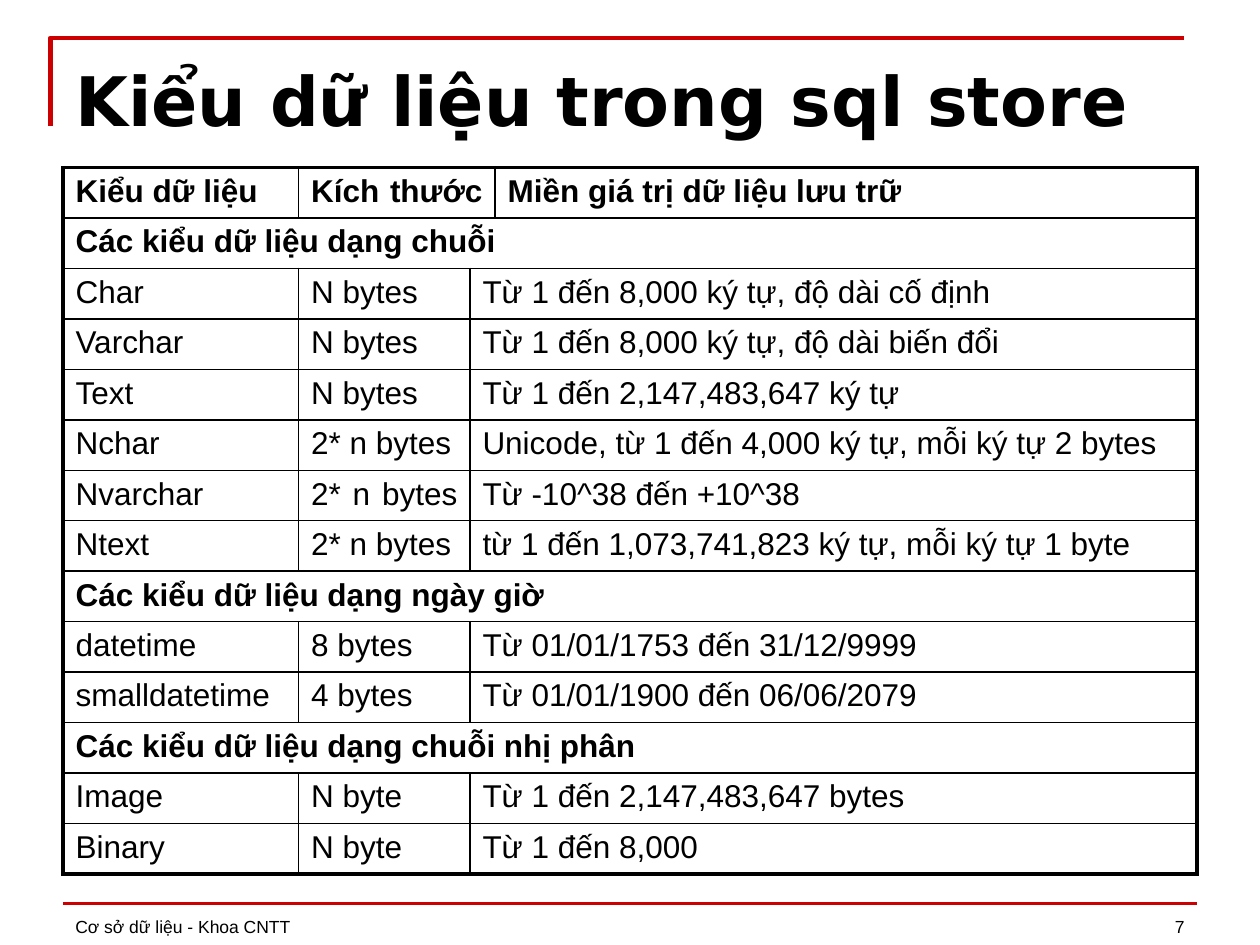
"""Builds a slide with a table of SQL data types, their sizes and ranges."""
from lxml import etree
from pptx import Presentation
from pptx.dml.color import RGBColor
from pptx.enum.shapes import MSO_CONNECTOR
from pptx.enum.text import MSO_ANCHOR, PP_ALIGN
from pptx.oxml.ns import qn
from pptx.util import Inches, Pt

STRAIGHT = MSO_CONNECTOR.STRAIGHT
MIDDLE, BOTTOM = MSO_ANCHOR.MIDDLE, MSO_ANCHOR.BOTTOM
LEFT, RIGHT, JUSTIFY = PP_ALIGN.LEFT, PP_ALIGN.RIGHT, PP_ALIGN.JUSTIFY

THEME = {
    "ink": "000000", "accent": "CC0000",
    "title_font": "DejaVu Sans", "body_font": "Arial",
    "title": 39, "body": 18, "footer": 10,
    "thin": 1, "thick": 2.25, "frame": 2.5, "rule": 2,
}
UNIT = Inches(0.1)  # the slide is a grid of 100 columns by 75 rows
MARGIN, CONTENT = 5, 90
COLUMNS = (18.7, 13.6, 2, 55.7)
ROW = 4

ROWS = [
    ("Kiểu dữ liệu", "Kích thước ", "Miền giá trị dữ liệu lưu trữ"),
    ("Các kiểu dữ liệu dạng chuỗi",),
    ("Char", "N bytes", "Từ 1 đến 8,000 ký tự, độ dài cố định"),
    ("Varchar", "N bytes", "Từ 1 đến 8,000 ký tự, độ dài biến đổi"),
    ("Text", "N bytes", "Từ 1 đến 2,147,483,647 ký tự"),
    ("Nchar", "2* n bytes", "Unicode, từ 1 đến 4,000 ký tự, mỗi ký tự 2 bytes"),
    ("Nvarchar", "2* n bytes ", "Từ -10^38 đến +10^38"),
    ("Ntext", "2* n bytes", "từ 1 đến 1,073,741,823 ký tự, mỗi ký tự 1 byte"),
    ("Các kiểu dữ liệu dạng ngày giờ",),
    ("datetime", "8 bytes", "Từ 01/01/1753 đến 31/12/9999"),
    ("smalldatetime", "4 bytes", "Từ 01/01/1900 đến 06/06/2079"),
    ("Các kiểu dữ liệu dạng chuỗi nhị phân",),
    ("Image", "N byte", "Từ 1 đến 2,147,483,647 bytes"),
    ("Binary", "N byte", "Từ 1 đến 8,000"),
]
HEADER_SPANS = ((0, 0), (1, 2), (3, 3))
SECTION_SPANS = ((0, 3),)
ENTRY_SPANS = ((0, 0), (1, 1), (2, 3))


def write(frame, text, size, font, align=LEFT, bold=False):
    """Put one styled paragraph in a text frame."""
    frame.word_wrap = True
    para = frame.paragraphs[0]
    para.text = text
    para.alignment = align
    para.font.name = THEME[font]
    para.font.size = Pt(THEME[size])
    para.font.bold = bold
    para.font.color.rgb = RGBColor.from_string(THEME["ink"])


def draw_borders(cell, outer):
    """Line all four sides of a cell, thick on the outer sides."""
    properties = cell._tc.get_or_add_tcPr()
    for side in "LRTB":
        width = Pt(THEME["thick" if side in outer else "thin"])
        line = etree.SubElement(properties, qn(f"a:ln{side}"), w=str(width))
        fill = etree.SubElement(line, qn("a:solidFill"))
        etree.SubElement(fill, qn("a:srgbClr"), val=THEME["ink"])


deck = Presentation()
deck.slide_width, deck.slide_height = 100 * UNIT, 75 * UNIT
page = deck.slides.add_slide(deck.slide_layouts[6])
shapes = page.shapes
accent = RGBColor.from_string(THEME["accent"])

outline = shapes.build_freeform(4.2, 10, scale=UNIT)
outline.add_line_segments([(4.2, 3.3), (94.2, 3.3)], close=False)
corner = outline.convert_to_shape()
corner.shadow.inherit = False
corner.fill.background()
corner.line.color.rgb = accent
corner.line.width = Pt(THEME["frame"])

rule = shapes.add_connector(
    STRAIGHT, MARGIN * UNIT, int(71.7 * UNIT), (MARGIN + CONTENT) * UNIT, int(71.7 * UNIT))
rule.line.color.rgb = accent
rule.line.width = Pt(THEME["rule"])
etree.SubElement(rule._element.spPr, qn("a:effectLst"))

for text, left, width, align in (
    ("Cơ sở dữ liệu - Khoa CNTT", MARGIN, 60.8, LEFT),
    ("7", 71.7, 23.3, RIGHT),
):
    box = shapes.add_textbox(int(left * UNIT), int(69.9 * UNIT), int(width * UNIT), 5 * UNIT)
    box.text_frame.vertical_anchor = BOTTOM
    write(box.text_frame, text, "footer", "body_font", align)

title = shapes.add_textbox(MARGIN * UNIT, int(3.9 * UNIT), CONTENT * UNIT, int(8.6 * UNIT))
title.text_frame.vertical_anchor = MIDDLE
title.text_frame.margin_bottom = Inches(0.11)
write(title.text_frame, "Kiểu dữ liệu trong sql store", "title", "title_font", bold=True)

table = shapes.add_table(
    len(ROWS), len(COLUMNS), MARGIN * UNIT, int(13.3 * UNIT),
    CONTENT * UNIT, len(ROWS) * ROW * UNIT).table
table.first_row = table.horz_banding = False
for column, width in zip(table.columns, COLUMNS):
    column.width = int(width * UNIT)

last_row, last_column = len(ROWS) - 1, len(COLUMNS) - 1
for row, texts in enumerate(ROWS):
    table.rows[row].height = ROW * UNIT
    is_section = len(texts) == 1
    spans = HEADER_SPANS if row == 0 else SECTION_SPANS if is_section else ENTRY_SPANS
    for text, (first, last) in zip(texts, spans):
        if last > first:
            table.cell(row, first).merge(table.cell(row, last))
        write(table.cell(row, first).text_frame, text, "body", "body_font",
              JUSTIFY, row == 0 or is_section)
        outer = (("L" if first == 0 else "") + ("R" if last == last_column else "")
                 + ("T" if row == 0 else "") + ("B" if row == last_row else ""))
        for index in range(first, last + 1):
            cell = table.cell(row, index)
            draw_borders(cell, outer)
            cell.fill.background()

deck.save("out.pptx")
